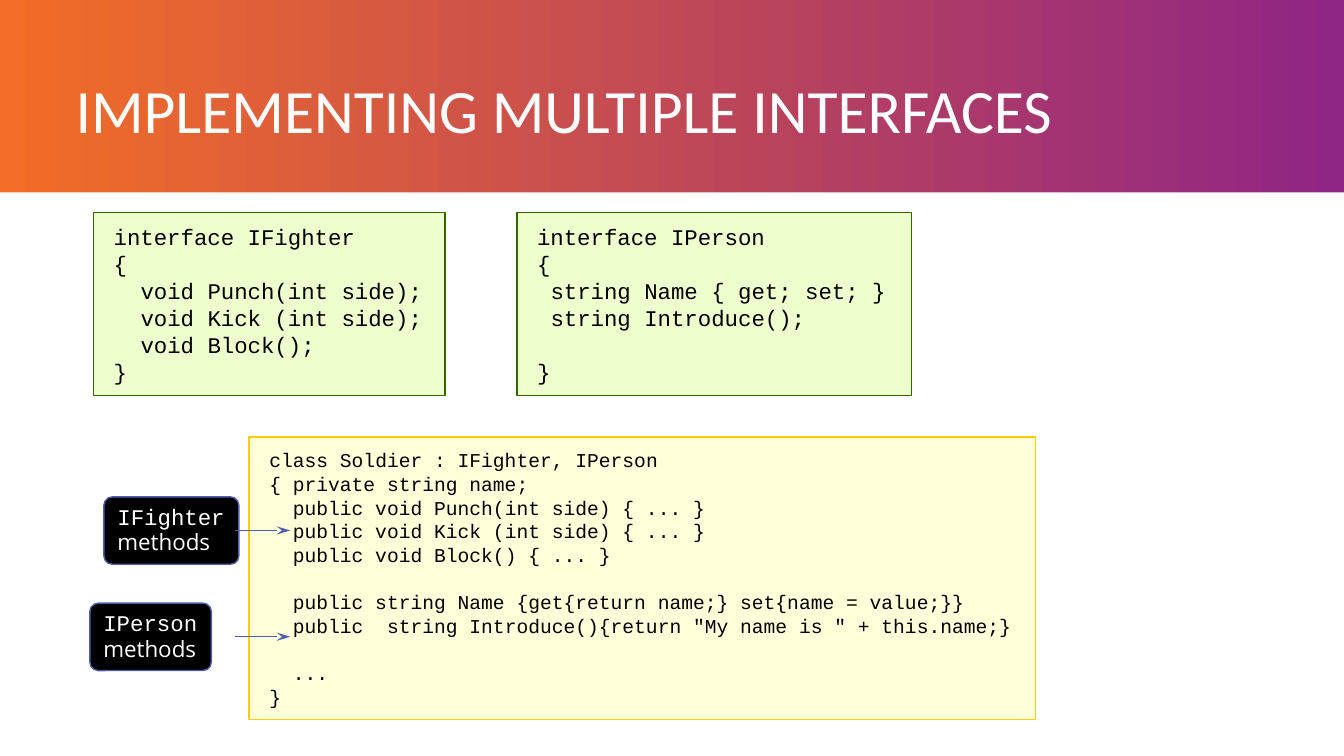
"""Build a slide on implementing multiple interfaces, with three code boxes and two labels."""
import lxml.etree
import pptx
import pptx.dml.color
import pptx.enum.shapes
import pptx.enum.text
import pptx.oxml.ns
import pptx.util

Pt = pptx.util.Pt
RGBColor = pptx.dml.color.RGBColor
SHAPES = pptx.enum.shapes.MSO_SHAPE

WHITE = RGBColor(0xFF, 0xFF, 0xFF)
BLACK = RGBColor(0x00, 0x00, 0x00)
PURPLE = RGBColor(0x8F, 0x25, 0x85)
ORANGE = RGBColor(0xF2, 0x6D, 0x26)
CREAM = RGBColor(0xFF, 0xFF, 0xD9)
GOLD = RGBColor(0xFF, 0xCC, 0x00)
LIME = RGBColor(0xEE, 0xFF, 0xCD)
GREEN = RGBColor(0x33, 0x66, 0x00)
BLUE = RGBColor(0x4E, 0x5F, 0xAB)
CODE_FONT = "Courier New"


def add_line(frame, text, *, size, color=BLACK, font=CODE_FONT, spacing=1.0, indent=0, before=0):
    """Write one paragraph, filling the empty first one when there is one."""
    para = frame.paragraphs[0]
    if para.runs:
        para = frame.add_paragraph()
    para.alignment = pptx.enum.text.PP_ALIGN.LEFT
    para.line_spacing = spacing
    para.space_before = Pt(before)
    properties = para._p.get_or_add_pPr()
    properties.set("marL", str(Pt(indent)))
    properties.set("indent", "0")
    span = para.add_run()
    span.text = text
    span.font.size = Pt(size)
    span.font.name = font
    span.font.color.rgb = color


def add_box(page, kind, place, fill, line, margins):
    """Add a filled shape and return it with its text frame prepared."""
    box = page.shapes.add_shape(kind, *[Pt(length) for length in place])
    box.shadow.inherit = False
    box.fill.solid()
    box.fill.fore_color.rgb = fill
    if line is None:
        box.line.fill.background()
    else:
        box.line.color.rgb = line
        box.line.width = Pt(1)
    frame = box.text_frame
    frame.word_wrap = False
    frame.vertical_anchor = pptx.enum.text.MSO_ANCHOR.MIDDLE
    frame.margin_left = frame.margin_right = Pt(margins[0])
    frame.margin_top = frame.margin_bottom = Pt(margins[1])
    return box


deck = pptx.Presentation()
deck.slide_width, deck.slide_height = Pt(960), Pt(540)
page = deck.slides.add_slide(deck.slide_layouts[6])

background = page.background.fill
background.gradient()
background.gradient_angle = 180
for stop, color in zip(background.gradient_stops, (PURPLE, ORANGE)):
    stop.color.rgb = color
add_box(page, SHAPES.RECTANGLE, (0, 137.4, 960, 402.6), WHITE, None, (0, 0))

title = page.shapes.add_textbox(Pt(54), Pt(54), Pt(852), Pt(54)).text_frame
title.word_wrap = True
title.vertical_anchor = pptx.enum.text.MSO_ANCHOR.MIDDLE
title.margin_left = 0
add_line(title, "IMPLEMENTING MULTIPLE INTERFACES", size=44, color=WHITE, font="Calibri", spacing=0.9)

# Each code line: indent in characters, blank lines above, text.
code_boxes = [
    ((178, 312.3, 561.8, 201.6), CREAM, GOLD, 14, 16.9, [
        (0, 0, "class Soldier : IFighter, IPerson"),
        (0, 0, "{ private string name;"),
        (2, 0, "public void Punch(int side) { ... }"),
        (2, 0, "public void Kick (int side) { ... }"),
        (2, 0, "public void Block() { ... }"),
        (2, 1, "public string Name {get{return name;} set{name = value;}}"),
        (2, 0, 'public  string Introduce(){return "My name is " + this.name;}'),
        (2, 1, "..."),
        (0, 0, "}"),
    ]),
    ((369.2, 151.8, 281.8, 130.8), LIME, GREEN, 16, 19.3, [
        (0, 0, "interface IPerson"),
        (0, 0, "{"),
        (1, 0, "string Name { get; set; }"),
        (1, 0, "string Introduce();"),
        (0, 1, "}"),
    ]),
    ((66.8, 151.8, 251.2, 130.8), LIME, GREEN, 16, 19.3, [
        (0, 0, "interface IFighter"),
        (0, 0, "{"),
        (2, 0, "void Punch(int side);"),
        (2, 0, "void Kick (int side);"),
        (2, 0, "void Block();"),
        (0, 0, "}"),
    ]),
]
for place, fill, line, size, pitch, code in code_boxes:
    box = add_box(page, SHAPES.RECTANGLE, place, fill, line, (14.4, 7.2))
    for characters, blanks, text in code:
        add_line(box.text_frame, text, size=size, spacing=Pt(pitch),
                 indent=characters * size * 0.6, before=blanks * pitch)

for name, left, top, width in (("IFighter", 74.2, 354.9, 96.4), ("IPerson", 64.2, 430.8, 86.8)):
    label = add_box(page, SHAPES.ROUNDED_RECTANGLE, (left, top, width, 48.2), BLACK, BLUE, (7.9, 3.6))
    label.adjustments[0] = 0.125
    add_line(label.text_frame, name, size=16, color=WHITE, spacing=0.95)
    add_line(label.text_frame, "methods", size=16, color=WHITE, font="Open Sans", spacing=0.95)

    middle = Pt(top + 24)
    arrow = page.shapes.add_connector(
        pptx.enum.shapes.MSO_CONNECTOR.STRAIGHT, Pt(167.8), middle, Pt(207.4), middle)
    arrow.line.color.rgb = BLUE
    arrow.line.width = Pt(1)
    head = lxml.etree.SubElement(arrow.line._get_or_add_ln(), pptx.oxml.ns.qn("a:tailEnd"))
    head.set("type", "stealth")
    head.set("w", "med")
    head.set("len", "lg")
    lxml.etree.SubElement(arrow._element.spPr, pptx.oxml.ns.qn("a:effectLst"))

deck.save("out.pptx")
